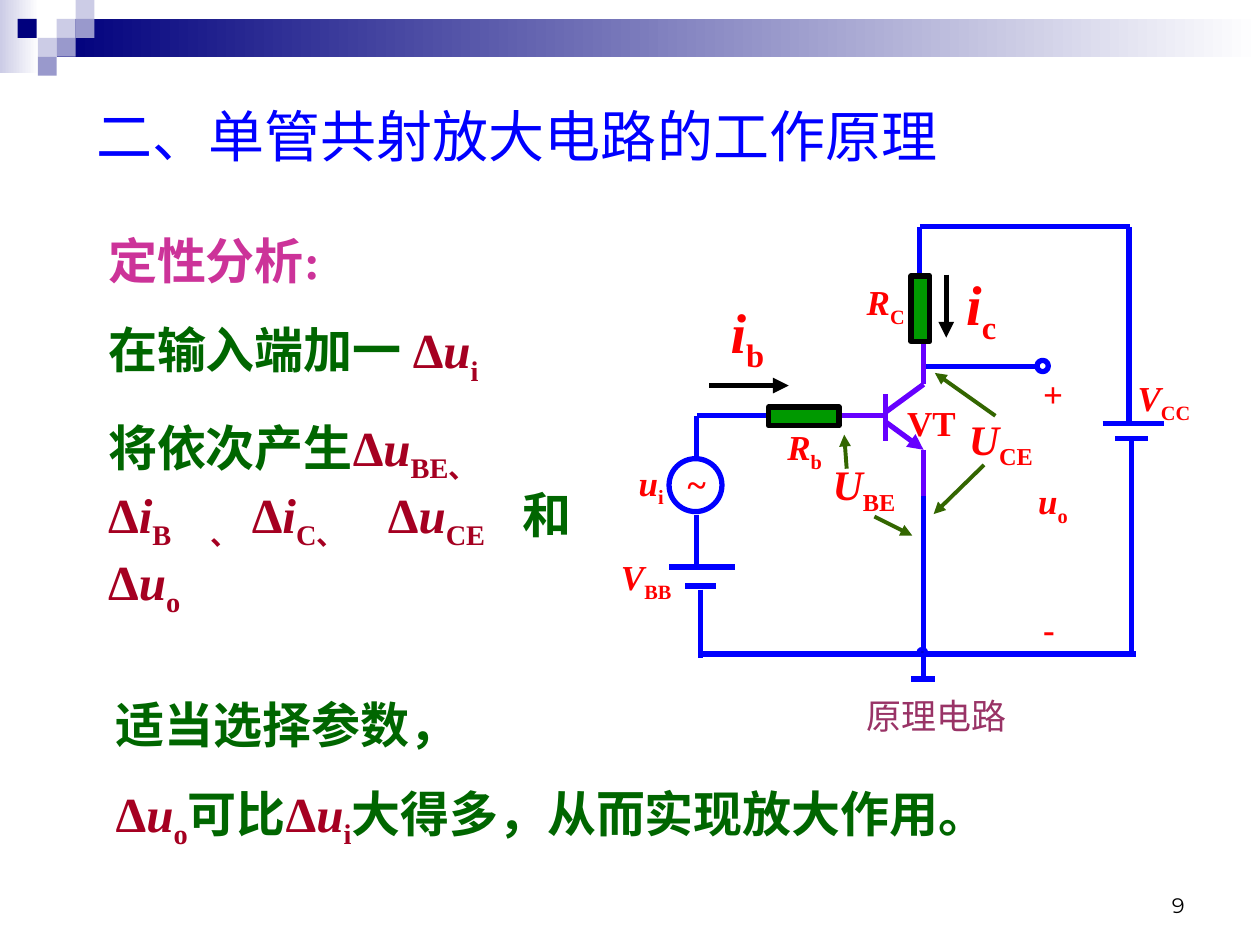
from typing import NamedTuple, Optional

from lxml import etree
from pptx import Presentation, util as u
from pptx.dml.color import RGBColor
from pptx.enum import shapes, text
from pptx.oxml import ns

COLORS = {
    "navy": "00007D", "lilac": "CCCCE6", "violet": "9999CC", "white": "FFFFFF",
    "black": "000000", "wire": "0000FF", "transistor": "6600FF", "dot": "0000CC",
    "resistor": "009900", "pointer": "336600", "label": "FF0000",
    "heading": "CC3399", "body": "006600", "delta": "A50021", "caption": "993366",
}
SERIF, SANS, NUMBER = "Times New Roman", "Noto Sans CJK SC", "Montserrat"


class Run(NamedTuple):
    words: str
    color: str = "label"
    bold: bool = True
    italic: bool = False
    sub: bool = False


class Wire(NamedTuple):
    x1: float
    y1: float
    x2: float
    y2: float
    color: str = "wire"
    width: float = 3
    arrow: bool = False


class Block(NamedTuple):
    x: float
    y: float
    w: float
    h: float
    fill: Optional[str] = None
    line: Optional[str] = None
    kind: int = shapes.MSO_SHAPE.RECTANGLE
    fade_to: Optional[str] = None
    width: float = 3


class Label(NamedTuple):
    x: float
    y: float
    w: float
    h: float
    runs: list
    size: int = 20


def length(inches: float) -> int:
    return u.Cm(inches * 2.54)


def rgb(name: str) -> RGBColor:
    return RGBColor.from_string(COLORS[name])


def symbol(letter: str, index: str, color: str = "label") -> list:
    return [Run(letter, color, italic=True), Run(index, color, sub=True)]


def change(letter: str, index: str) -> list:
    return [Run("Δ", "delta")] + symbol(letter, index, "delta")


def draw_block(slide, block: Block) -> None:
    shape = slide.shapes.add_shape(block.kind, *map(length, block[:4]))
    shape.shadow.inherit = False
    if block.fade_to:
        shape.fill.gradient()
        shape.fill.gradient_angle = 0
        for stop, name, place in zip(shape.fill.gradient_stops, (block.fill, block.fade_to), (0, 1)):
            stop.color.rgb, stop.position = rgb(name), place
    elif block.fill:
        shape.fill.solid()
        shape.fill.fore_color.rgb = rgb(block.fill)
    else:
        shape.fill.background()
    if block.line:
        shape.line.color.rgb = rgb(block.line)
        shape.line.width = u.Pt(block.width)
    else:
        shape.line.fill.background()


def draw_wire(slide, wire: Wire) -> None:
    line = slide.shapes.add_connector(shapes.MSO_CONNECTOR.STRAIGHT, *map(length, wire[:4]))
    line.line.color.rgb = rgb(wire.color)
    line.line.width = u.Pt(wire.width)
    properties = line._element.spPr
    if wire.arrow:
        etree.SubElement(properties.find(ns.qn("a:ln")), ns.qn("a:tailEnd"), type="triangle")
    etree.SubElement(properties, ns.qn("a:effectLst"))


def add_run(paragraph, part: Run, size: float, face: str) -> None:
    run = paragraph.add_run()
    run.text = part.words
    font = run.font
    font.name, font.size, font.bold, font.italic = face, u.Pt(size), part.bold, part.italic
    font.color.rgb = rgb(part.color)
    etree.SubElement(font._element, ns.qn("a:ea"), typeface=SANS)
    if part.sub:
        font._element.set("baseline", "-25000")


def write(slide, area: tuple, paragraphs: list, size: float, face: str = SERIF,
          gap: float = 0, tabs: tuple = ()):
    """Each paragraph is a list of lines, each line a list of runs."""
    frame = slide.shapes.add_textbox(*map(length, area)).text_frame
    frame.word_wrap = True
    for number, lines in enumerate(paragraphs):
        paragraph = frame.add_paragraph() if number else frame.paragraphs[0]
        if number:
            paragraph.space_before = u.Pt(gap)
        if tabs:
            stops = etree.SubElement(paragraph._p.get_or_add_pPr(), ns.qn("a:tabLst"))
            for stop in tabs:
                etree.SubElement(stops, ns.qn("a:tab"), pos=str(length(stop)), algn="l")
        for row, runs in enumerate(lines):
            if row:
                paragraph.add_line_break()
            for part in runs:
                add_run(paragraph, part, size, face)
    return frame


OVAL = shapes.MSO_SHAPE.OVAL
TILE = 0.15
BANNER = [
    Block(0, 0, 0.31, 0.58, "lilac", fade_to="white"),
    Block(0.45, 0.15, 9.55, 0.3, "navy", fade_to="white"),
] + [Block(x, y, TILE, TILE, color) for x, y, color in (
    (0.45, 0.15, "lilac"), (0.6, 0, "lilac"), (0.6, 0.15, "violet"), (0.3, 0.3, "lilac"),
    (0.14, 0.15, "navy"), (0.45, 0.3, "violet"), (0.3, 0.45, "violet"))]

WIRES = [
    # Input source and base battery
    Wire(5.53, 4.09, 5.53, 4.5), Wire(5.53, 3.3, 5.53, 3.64), Wire(5.53, 3.3, 6.12, 3.3),
    Wire(5.31, 4.5, 5.83, 4.5), Wire(5.44, 4.65, 5.68, 4.65), Wire(5.56, 4.68, 5.56, 5.22),
    # Collector supply
    Wire(7.3, 2.19, 7.3, 1.8), Wire(7.3, 1.8, 8.97, 1.8), Wire(8.96, 1.8, 8.96, 3.36),
    Wire(8.75, 3.36, 9.24, 3.36), Wire(8.85, 3.48, 9.11, 3.48), Wire(8.98, 3.48, 8.98, 5.19),
    # Common rail, ground and output
    Wire(5.56, 5.19, 9.02, 5.19), Wire(7.33, 3.82, 7.33, 5.41), Wire(7.23, 5.39, 7.42, 5.39),
    Wire(7.33, 2.91, 8.23, 2.91),
    # Transistor
    Wire(7.33, 3.57, 7.33, 3.94, "transistor"), Wire(7.03, 3.13, 7.03, 3.5, "transistor"),
    Wire(7.03, 3.27, 7.33, 3.05, "transistor"), Wire(7.33, 3.05, 7.33, 2.69, "transistor"),
    Wire(7.03, 3.35, 7.33, 3.57, "transistor", arrow=True),
    Wire(7.03, 3.3, 6.66, 3.3, "transistor"),
    # Current arrows
    Wire(5.63, 3.06, 6.26, 3.06, "black", arrow=True),
    Wire(7.51, 2.18, 7.51, 2.68, "black", arrow=True),
] + [Wire(*ends, "pointer", 2.25, True) for ends in (
    (7.81, 3.69, 7.41, 4.08), (7.9, 3.3, 7.42, 2.96),
    (6.94, 4.1, 7.24, 4.25), (6.72, 3.72, 6.7, 3.45))]

PARTS = [
    Block(5.31, 3.64, 0.42, 0.42, line="wire", kind=OVAL),
    Block(7.29, 5.15, 0.06, 0.05, "dot", "wire", OVAL, width=2.25),
    Block(8.23, 2.86, 0.09, 0.09, line="wire", kind=OVAL),
    Block(7.23, 2.19, 0.15, 0.52, "resistor", "black"),
    Block(6.1, 3.23, 0.56, 0.15, "resistor", "black"),
]

LABELS = [
    Label(7.59, 3.23, 0.78, 0.56, symbol("U", "CE"), 24),
    Label(6.51, 3.59, 0.78, 0.56, symbol("U", "BE"), 24),
    Label(5.7, 2.31, 0.49, 0.71, symbol("i", "b"), 32),
    Label(7.57, 2.09, 0.54, 0.71, symbol("i", "c"), 32),
    Label(4.83, 4.36, 0.83, 0.48, symbol("V", "BB")),
    Label(4.97, 3.61, 0.58, 0.48, symbol("u", "i")),
    Label(6.15, 3.33, 0.76, 0.48, symbol("R", "b")),
    Label(6.78, 2.18, 0.83, 0.48, symbol("R", "C")),
    Label(8.14, 3.76, 0.69, 0.48, symbol("u", "o")),
    Label(8.93, 2.94, 0.66, 0.48, symbol("V", "CC")),
    Label(7.1, 3.14, 0.81, 0.44, [Run("VT")]),
    Label(8.18, 2.91, 0.4, 0.44, [Run("+")]),
    Label(8.18, 4.77, 0.46, 0.44, [Run("-")]),
    Label(5.36, 3.62, 0.52, 0.44, [Run("~")]),
]

TAB = Run("\t", "delta")
ANALYSIS = [
    [[Run("定性分析:", "heading")]],
    [[Run("在输入端加一 ", "body")] + change("u", "i")],
    [[Run("将依次产生", "body")] + change("u", "BE、"),
     change("i", "B") + [TAB, Run("、", "delta", sub=True), TAB] + change("i", "C、")
     + [TAB] + change("u", "CE") + [TAB, Run("和", "body")],
     change("u", "o")],
]
CONCLUSION = [
    [[Run("适当选择参数，", "body")]],
    [change("u", "o") + [Run("可比", "body")] + change("u", "i")
     + [Run("大得多，从而实现放大作用。", "body")]],
]


def main() -> None:
    deck = Presentation()
    deck.slide_width, deck.slide_height = length(10), length(7.5)
    slide = deck.slides.add_slide(deck.slide_layouts[6])
    for block in BANNER:
        draw_block(slide, block)

    # Title and explanation
    write(slide, (0.67, 0.76, 8.83, 0.64),
          [[[Run("二、单管共射放大电路的工作原理", "wire", False)]]], 32)
    write(slide, (0.76, 1.78, 4.05, 3.18), ANALYSIS, 28, gap=17.5, tabs=(0.81, 1.14, 2.22, 3.29))
    write(slide, (0.82, 5.46, 8.1, 1.34), CONCLUSION, 28, gap=17.5)

    # Circuit
    for wire in WIRES:
        draw_wire(slide, wire)
    for part in PARTS:
        draw_block(slide, part)
    for label in LABELS:
        write(slide, label[:4], [[label.runs]], label.size)
    write(slide, (6.78, 5.46, 1.38, 0.44), [[[Run("原理电路", "caption", False)]]], 20, SANS)

    # Page number
    page = write(slide, (7.17, 6.83, 2.33, 0.5), [[[Run("9", "black", False)]]], 12, NUMBER)
    page.vertical_anchor = text.MSO_ANCHOR.BOTTOM
    page.paragraphs[0].alignment = text.PP_ALIGN.RIGHT
    deck.save("out.pptx")


if __name__ == "__main__":
    main()
